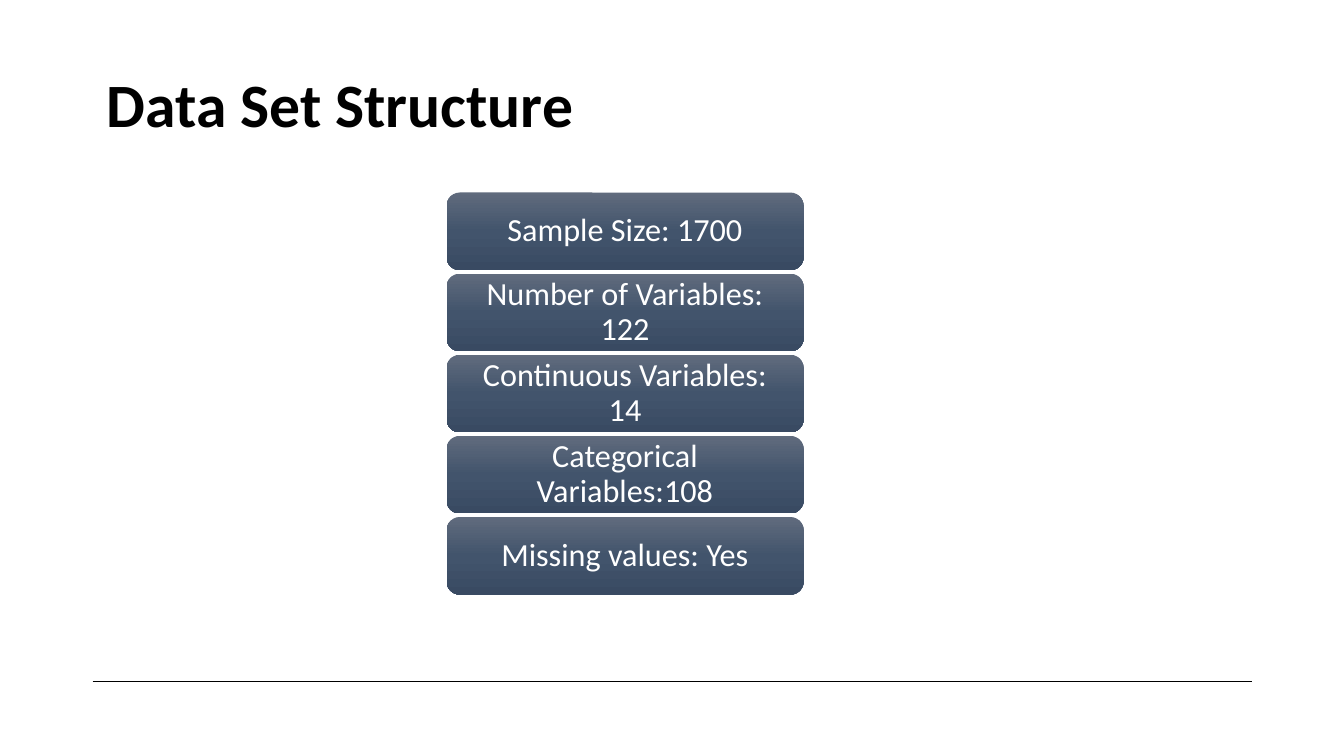
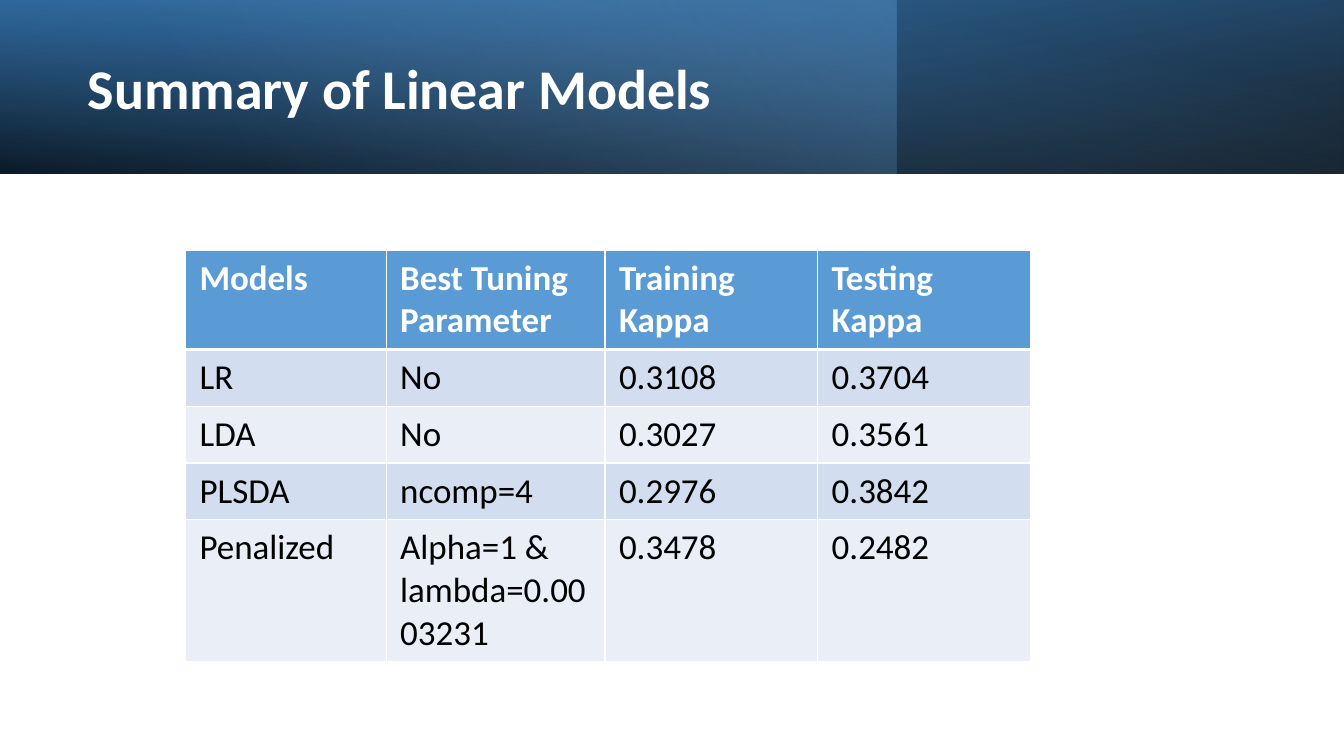
from itertools import product
from lxml.etree import SubElement
from pptx import Presentation
from pptx.dml.color import RGBColor
from pptx.enum.shapes import MSO_CONNECTOR, MSO_SHAPE
from pptx.enum.text import MSO_ANCHOR, MSO_AUTO_SIZE, PP_ALIGN
from pptx.oxml.ns import qn
from pptx.util import Inches, Pt

W, H = Inches(13.33), Inches(7.5)
FONT = "Calibri"
WHITE, BLACK, BLUE = "FFFFFF", "000000", "5B9BD5"
STRIPES = ["D2DEEF", "EAEFF7"]

FACTS = ["Sample Size: 1700", "Number of Variables: 122", "Continuous Variables: 14",
         "Categorical Variables:108", "Missing values: Yes"]
BAR_FILL = [(0, "606B7D", 100), (50, "42546C", 100), (100, "394A62", 100)]
BAR_TOP, BAR_PITCH = 25.47, 10.73

BAND_H = 22.93
BANDS = [
    (100, 100, [(0, BLACK, 96), (100, "2E75B6", 100)], {"rot": "10800000", "flipH": "1"}),
    (66.67, 140, [(0, BLUE, 41), (74, "9DC3E6", 0)], {}),
    (100, 260, [(0, BLACK, 63), (78, BLUE, 15)], {"flipH": "1"}),
]

MODELS = [
    ["Models", "Best Tuning Parameter", "Training Kappa", "Testing Kappa"],
    ["LR", "No", "0.3108", "0.3704"],
    ["LDA", "No", "0.3027", "0.3561"],
    ["PLSDA", "ncomp=4", "0.2976", "0.3842"],
    ["Penalized", "Alpha=1 & lambda=0.0003231", "0.3478", "0.2482"],
]
COLS = [14.93, 16.28, 15.83, 15.83]
ROWS = [11.07, 6.27, 6.27, 6.27, 15.87]


def rgb(color):
    """Turn a hex string into a colour."""
    return RGBColor.from_string(color)


def px(share):
    """Return a percentage of the slide width."""
    return int(W * share / 100)


def py(share):
    """Return a percentage of the slide height."""
    return int(H * share / 100)


def box(x, y, w, h):
    """Return left, top, width and height from percentages of the slide."""
    return px(x), py(y), px(w), py(h)


def apply(obj, **values):
    """Set the attributes of an object from format values."""
    for name, value in values.items():
        setattr(obj, name, value)


def write(tf, text, size, color, bold=False, **para):
    """Put one formatted paragraph into a text frame."""
    p = tf.paragraphs[0]
    apply(p, **para)
    r = p.add_run()
    r.text = text
    apply(r.font, name=FONT, size=Pt(size), bold=bold)
    r.font.color.rgb = rgb(color)


def add_title(s, text, place, size, color):
    """Place the slide title in front of everything drawn so far."""
    sp = s.shapes.title
    apply(sp, **dict(zip(("left", "top", "width", "height"), box(*place))))
    apply(sp.text_frame, word_wrap=True, vertical_anchor=MSO_ANCHOR.MIDDLE,
          auto_size=MSO_AUTO_SIZE.NONE)
    write(sp.text_frame, text, size, color, True, alignment=PP_ALIGN.LEFT, line_spacing=0.9)
    s.shapes._spTree.append(sp._element)


def add_gradient_shape(s, kind, place, angle, stops):
    """Add an unlined shape with a linear gradient of (position, colour, opacity) stops."""
    sp = s.shapes.add_shape(kind, *box(*place))
    sp.shadow.inherit = False
    sp.line.fill.background()
    spPr = sp._element.spPr
    grad = SubElement(spPr, qn("a:gradFill"), rotWithShape="1")
    gsLst = SubElement(grad, qn("a:gsLst"))
    for pos, color, opacity in stops:
        gs = SubElement(gsLst, qn("a:gs"), pos=str(pos * 1000))
        clr = SubElement(gs, qn("a:srgbClr"), val=color)
        SubElement(clr, qn("a:alpha"), val=str(opacity * 1000))
    SubElement(grad, qn("a:lin"), ang=str(angle * 60000), scaled="0")
    spPr.insert(2, grad)
    return sp


def add_bar(s, i, text):
    """Add one rounded bar of the stack."""
    place = (33.23, BAR_TOP + i * BAR_PITCH, 26.56, 10.27)
    sp = add_gradient_shape(s, MSO_SHAPE.ROUNDED_RECTANGLE, place, 90, BAR_FILL)
    sp.adjustments[0] = 0.17
    tf = sp.text_frame
    apply(tf, word_wrap=True, vertical_anchor=MSO_ANCHOR.MIDDLE,
          margin_left=Inches(0.14), margin_right=Inches(0.14),
          margin_top=Inches(0.09), margin_bottom=Inches(0.09))
    write(tf, text, 23, WHITE, alignment=PP_ALIGN.CENTER, line_spacing=0.9)


def add_rule(s):
    """Add the thin line at the foot of the slide."""
    line = s.shapes.add_connector(MSO_CONNECTOR.STRAIGHT, px(6.9), py(90.13), px(93.17), py(90.13))
    line.line.width = Pt(0.25)
    line.line.color.rgb = rgb(BLACK)
    SubElement(line._element.spPr, qn("a:effectLst"))


def set_borders(cell, row):
    """Give a cell white borders, thick between header and body."""
    tcPr = cell._tc.get_or_add_tcPr()
    widths = {"L": 1, "R": 1, "T": 3 if row == 1 else 1, "B": 3 if row == 0 else 1}
    for i, (side, width) in enumerate(widths.items()):
        ln = SubElement(tcPr, qn("a:ln" + side), w=str(Pt(width)))
        fill = SubElement(ln, qn("a:solidFill"))
        SubElement(fill, qn("a:srgbClr"), val=WHITE)
        tcPr.insert(i, ln)


def add_models_table(s):
    """Add the table of models."""
    place = box(13.8, 33.07, sum(COLS), sum(ROWS))
    table = s.shapes.add_table(len(ROWS), len(COLS), *place).table
    for col, share in zip(table.columns, COLS):
        col.width = px(share)
    for row, share in zip(table.rows, ROWS):
        row.height = py(share)
    for i, j in product(range(len(ROWS)), range(len(COLS))):
        cell, head = table.cell(i, j), i == 0
        apply(cell, margin_left=Inches(0.14), margin_right=Inches(0.14),
              margin_top=Inches(0.07), margin_bottom=Inches(0.07))
        cell.fill.solid()
        cell.fill.fore_color.rgb = rgb(BLUE if head else STRIPES[(i - 1) % 2])
        set_borders(cell, i)
        write(cell.text_frame, MODELS[i][j], 25, WHITE if head else BLACK, head)


def add_structure_slide(prs):
    """Build the slide on the data set."""
    s = prs.slides.add_slide(prs.slide_layouts[5])
    add_rule(s)
    add_title(s, "Data Set Structure", (7.2, 8.93, 83.87, 10.67), 44, BLACK)
    for i, text in enumerate(FACTS):
        add_bar(s, i, text)


def add_summary_slide(prs):
    """Build the slide on the linear models."""
    s = prs.slides.add_slide(prs.slide_layouts[5])
    for width, angle, stops, turn in BANDS:
        sp = add_gradient_shape(s, MSO_SHAPE.RECTANGLE, (0, 0, width, BAND_H), angle, stops)
        for name, value in turn.items():
            sp._element.spPr.xfrm.set(name, value)
    add_title(s, "Summary of Linear Models", (5.78, 3.6, 57.91, 16.93), 40, WHITE)
    add_models_table(s)


def main():
    """Build and save the presentation."""
    prs = Presentation()
    apply(prs, slide_width=W, slide_height=H)
    add_structure_slide(prs)
    add_summary_slide(prs)
    prs.save("out.pptx")


if __name__ == "__main__":
    main()
